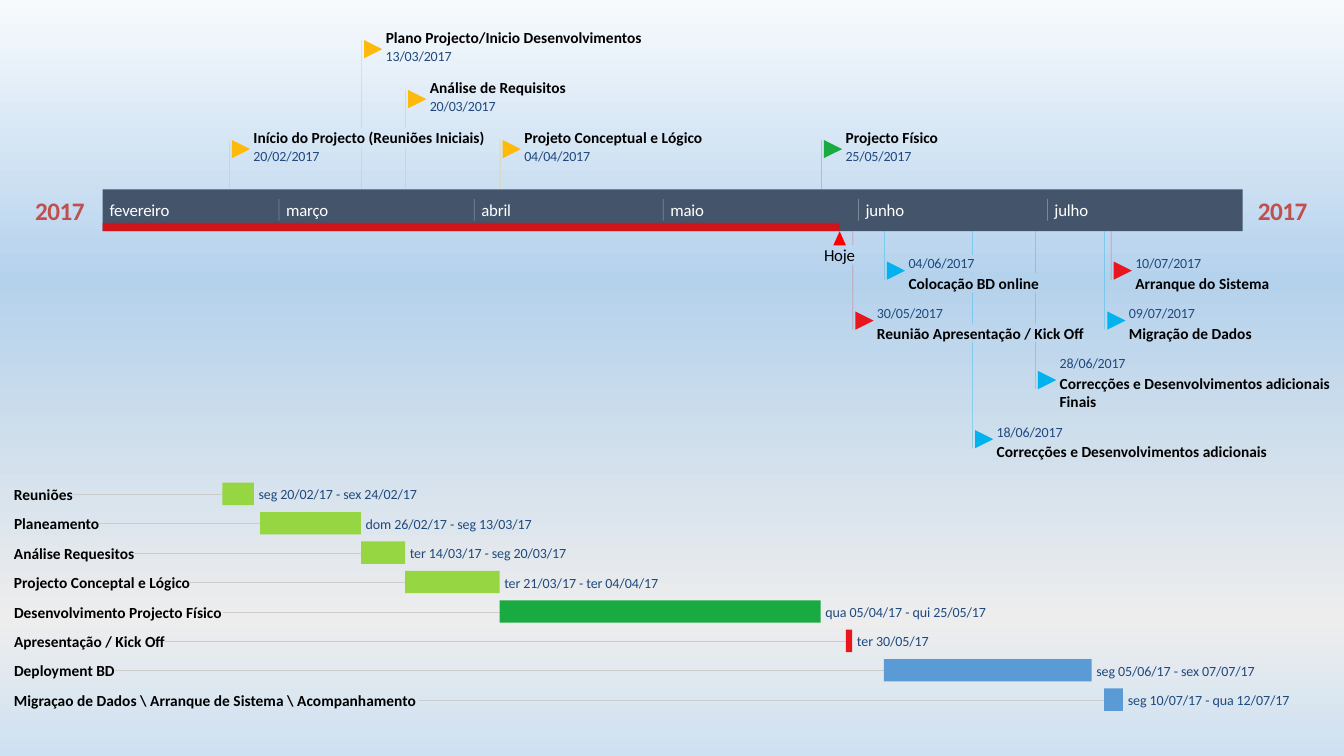
from dataclasses import dataclass
from itertools import accumulate

from lxml.etree import SubElement
from pptx import Presentation
from pptx.dml.color import RGBColor
from pptx.enum.shapes import MSO_CONNECTOR as CONN, MSO_SHAPE as SHAPE
from pptx.enum.text import MSO_ANCHOR as ANCHOR, PP_ALIGN as ALIGN
from pptx.oxml.ns import qn
from pptx.util import Pt


@dataclass(frozen=True)
class Theme:
    """Colours, font and text styles (size, bold, colour, spacing in 1/100 pt)."""
    font = "Calibri"
    sky = ((0, "F7FAFD"), (37, "B5D2EC"), (82, "EDEDED"), (100, "CEE1F2"))
    axis, rule, white, today = "44546A", "CCCCCC", "FFFFFF", "FF0000"
    amber, green, red, cyan = "FEBA0A", "1AAA42", "EA161E", "02B2EE"
    lime, blue = "96D642", "5B9BD5"
    year = (18, True, "C0504D", -40)
    now = (12, False, "000000", -20)
    month = (12, False, "FFFFFF", -10)
    title = (11, True, "000000", 0)
    date = (10, False, "1F497E", -10)
    span = (10, False, "1F497E", -5)


T = Theme()
AXIS_X, AXIS_Y, AXIS_W, AXIS_H = 73.4, 135.2, 814.3, 30
AXIS_END = AXIS_Y + AXIS_H
MONTHS = {"fevereiro": 28, "março": 31, "abril": 30, "maio": 31, "junho": 30, "julho": 31}
DAY = AXIS_W / sum(MONTHS.values())
FLAG = 13

prs = Presentation()
prs.slide_width, prs.slide_height = Pt(960), Pt(540)
s = prs.slides.add_slide(prs.slide_layouts[6])
labels = []  # (text, left, top, width, height, style, align), written last


def add_line(x1, y1, x2, y2, color, width=0.38, alpha=100):
    """Draw a thin straight line with an opacity in percent."""
    ln = s.shapes.add_connector(CONN.STRAIGHT, Pt(x1), Pt(y1), Pt(x2), Pt(y2))
    ln.line.width = Pt(width)
    ln.line.color.rgb = RGBColor.from_string(color)
    sp_pr = ln._element.spPr
    SubElement(sp_pr.find(".//" + qn("a:srgbClr")), qn("a:alpha"), val=str(alpha * 1000))
    SubElement(sp_pr, qn("a:effectLst"))


def add_shape(kind, x, y, w, h, color, alpha=100):
    """Add a filled shape without outline or shadow."""
    sp = s.shapes.add_shape(kind, Pt(x), Pt(y), Pt(w), Pt(h))
    sp.shadow.inherit = False
    sp.fill.solid()
    sp.fill.fore_color.rgb = RGBColor.from_string(color)
    SubElement(sp._element.find(".//" + qn("a:srgbClr")), qn("a:alpha"), val=str(alpha * 1000))
    sp.line.fill.background()
    return sp


# Background
fill = s.background.fill
fill.gradient()
fill.gradient_angle = 270
stops = s.element.find(".//" + qn("a:gsLst"))
for old in list(stops):
    stops.remove(old)
for pos, color in T.sky:
    stop = SubElement(stops, qn("a:gs"), pos=str(pos * 1000))
    SubElement(stop, qn("a:srgbClr"), val=color)

# Time axis; month_x maps "02" to the left edge of February and so on
starts = accumulate(list(MONTHS.values())[:-1], initial=0)
month_x = {f"{n:02}": AXIS_X + d * DAY for n, d in enumerate(starts, 2)}
today_x = month_x["05"] + 28 * DAY
add_shape(SHAPE.RECTANGLE, AXIS_X, AXIS_Y, AXIS_W, AXIS_H, T.axis)
add_shape(SHAPE.RECTANGLE, AXIS_X, AXIS_END - 6, today_x - AXIS_X, 6, T.today, 75)
add_shape(SHAPE.ISOSCELES_TRIANGLE, today_x - 4.5, AXIS_END, 9, 10, T.today)
labels.append(("Hoje", today_x - 11.6, 175, 23, 14.4, T.now, ALIGN.CENTER))
for x in (25, 898.4):
    labels.append(("2017", x, 139, 35.6, 22.3, T.year, ALIGN.CENTER))
for name, x in zip(MONTHS, month_x.values()):
    if x > AXIS_X:
        add_line(x, 142, x, 157.6, T.white, 0.5, 30)
    labels.append((name, x + 5, 142.6, 50, 14.4, T.month, ALIGN.LEFT))

# Milestones: date, title, title width, top, colour, gaps in the stem
ROW = 35.7
UP = [20 + ROW * i for i in range(3)]
DOWN = [182 + ROW * i for i in range(3)] + [302.4]
UP_GAP, TODAY_GAP = (91.4, 105), (175, 189.4)
DATE_GAP, TITLE_GAP, KICK_GAP = (182, 194.5), (195, 209), (231, 244)
MILESTONES = [
    ("20/02/2017", "Início do Projecto (Reuniões Iniciais)", 165, UP[2], T.amber, []),
    ("13/03/2017", "Plano Projecto/Inicio Desenvolvimentos", 183, UP[0], T.amber, [UP_GAP]),
    ("20/03/2017", "Análise de Requisitos", 97, UP[1], T.amber, [UP_GAP]),
    ("04/04/2017", "Projeto Conceptual e Lógico", 127, UP[2], T.amber, []),
    ("25/05/2017", "Projecto Físico", 67, UP[2], T.green, []),
    ("30/05/2017", "Reunião Apresentação / Kick Off", 149, DOWN[1], T.red, [TODAY_GAP]),
    ("04/06/2017", "Colocação BD online", 94, DOWN[0], T.cyan, []),
    ("18/06/2017", "Correcções e Desenvolvimentos adicionais", 194, DOWN[3], T.cyan,
     [DATE_GAP, TITLE_GAP, KICK_GAP]),
    ("28/06/2017", "Correcções e Desenvolvimentos adicionais Finais", 196, DOWN[2], T.cyan,
     [TITLE_GAP, KICK_GAP]),
    ("09/07/2017", "Migração de Dados", 89, DOWN[1], T.cyan, []),
    ("10/07/2017", "Arranque do Sistema", 97, DOWN[0], T.red, []),
]
for date, title, width, top, color, gaps in MILESTONES:
    day, month, _ = date.split("/")
    x = month_x[month] + int(day) * DAY + 0.4
    title_h = 27 if title.endswith("Finais") else 13.4
    if top < AXIS_Y:
        title_y, date_y, flag_y = top, top + 14.2, top + 8.6
        ends = flag_y, AXIS_Y
    else:
        date_y, title_y, flag_y = top, top + 13.4, top + 4.8 + (title_h - 13.4) / 2
        ends = AXIS_END, flag_y + FLAG
    edges = [ends[0], *(y for gap in gaps for y in gap), ends[1]]
    for y1, y2 in zip(edges[::2], edges[1::2]):
        add_line(x, y1, x, y2, color, alpha=50)
    add_shape(SHAPE.FLOWCHART_MERGE, x + 1.8, flag_y, FLAG, FLAG, color).rotation = 270
    labels.append((title, x + 17.3, title_y, width + 1, title_h, T.title, ALIGN.LEFT))
    labels.append((date, x + 17.3, date_y, 50, 12.2, T.date, ALIGN.LEFT))

# Task bars: name, name width, dates, colour
TASKS = [
    ("Reuniões", 42, "seg 20/02/17 - sex 24/02/17", T.lime),
    ("Planeamento", 61, "dom 26/02/17 - seg 13/03/17", T.lime),
    ("Análise Requesitos", 86, "ter 14/03/17 - seg 20/03/17", T.lime),
    ("Projecto Conceptal e Lógico", 126, "ter 21/03/17 - ter 04/04/17", T.lime),
    ("Desenvolvimento Projecto Físico", 149, "qua 05/04/17 - qui 25/05/17", T.green),
    ("Apresentação / Kick Off", 108, "ter 30/05/17", T.red),
    ("Deployment BD", 72, "seg 05/06/17 - sex 07/07/17", T.blue),
    ("Migraçao de Dados \\ Arranque de Sistema \\ Acompanhamento", 289,
     "seg 10/07/17 - qua 12/07/17", T.blue),
]
for i, (name, width, span, color) in enumerate(TASKS):
    y = 344.8 + 21 * i
    days = [word.split("/") for word in span.split() if "/" in word]
    left = month_x[days[0][1]] + (int(days[0][0]) - 1) * DAY
    right = month_x[days[-1][1]] + int(days[-1][0]) * DAY
    add_line(10 + width, y + 8.2, left, y + 8.2, T.rule)
    add_shape(SHAPE.RECTANGLE, left, y, right - left, 16, color)
    labels.append((name, 10, y + 1.6, width + 2, 13.4, T.title, ALIGN.LEFT))
    labels.append((span, right + 3.4, y + 2.2, 122, 12.2, T.span, ALIGN.LEFT))

# All wording
for text, x, y, w, h, (size, bold, color, spacing), align in labels:
    tf = s.shapes.add_textbox(Pt(x), Pt(y), Pt(w), Pt(h)).text_frame
    tf.margin_left = tf.margin_right = tf.margin_top = tf.margin_bottom = 0
    tf.word_wrap = align == ALIGN.LEFT
    tf.vertical_anchor = ANCHOR.MIDDLE
    tf.text = text
    p = tf.paragraphs[0]
    p.alignment = align
    r = p.runs[0]
    r.font.name, r.font.size, r.font.bold = T.font, Pt(size), bold
    r.font.color.rgb = RGBColor.from_string(color)
    r._r.get_or_add_rPr().set("spc", str(spacing))

prs.save("out.pptx")
